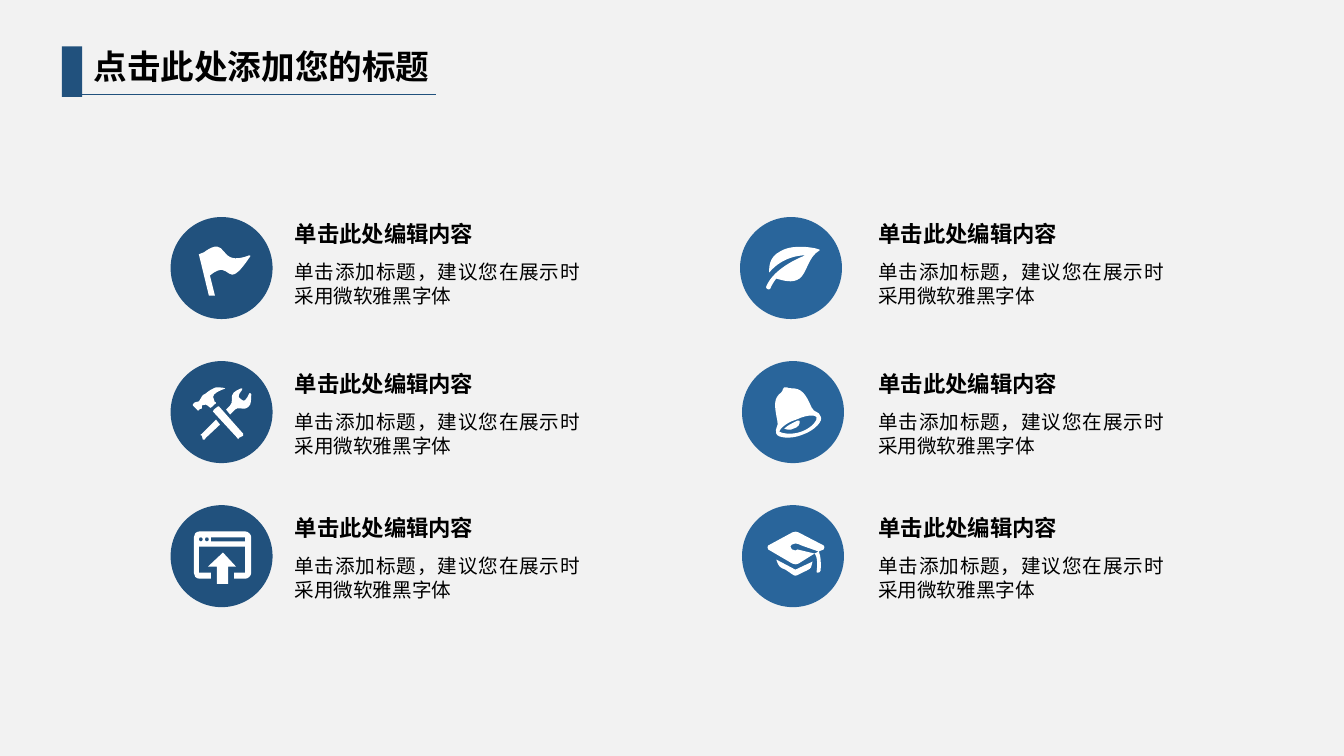
from lxml import etree
from pptx import Presentation
from pptx.dml.color import RGBColor
from pptx.enum.shapes import MSO_CONNECTOR, MSO_SHAPE
from pptx.enum.text import MSO_AUTO_SIZE, PP_ALIGN
from pptx.oxml.ns import qn
from pptx.util import Cm, Pt

RECTANGLE, OVAL = MSO_SHAPE.RECTANGLE, MSO_SHAPE.OVAL
STRAIGHT = MSO_CONNECTOR.STRAIGHT
GROW = MSO_AUTO_SIZE.SHAPE_TO_FIT_TEXT
LEFT, JUSTIFY = PP_ALIGN.LEFT, PP_ALIGN.JUSTIFY

NAVY = RGBColor(0x21, 0x51, 0x7D)
BLUE = RGBColor(0x29, 0x65, 0x9B)
WHITE = RGBColor(0xFF, 0xFF, 0xFF)
BLACK = RGBColor(0x00, 0x00, 0x00)
PALE = RGBColor(0xF2, 0xF2, 0xF2)

TITLE_FONT, ITEM_FONT = "Noto Sans CJK SC", "League Spartan"
TITLE = "点击此处添加您的标题"
HEADING = "单击此处编辑内容"
BODY = "单击添加标题，建议您在展示时采用微软雅黑字体"

# Each icon is a list of contours on a grid of 101 units across its circle.
# A pair is a corner; six numbers are a cubic curve's two controls and its end.
ICON_UNIT = Cm(0.0254)

FLAG = [
    [(78, 38), (45, 51, 59, 16, 33, 35), (28, 37), (38, 78), (44, 78), (39, 58),
     (62, 39, 53, 78, 79, 39), (80, 39, 79, 38, 78, 38)],
]
LEAF = [
    [(40, 34), (28, 40, 29, 51, 29, 55), (44, 37, 65, 38, 65, 38),
     (65, 38, 34, 49, 26, 69), (25, 71, 29, 73, 30, 71), (32, 66, 36, 61, 36, 61),
     (43, 63, 52, 66, 59, 61), (67, 55, 67, 40, 79, 33), (83, 32, 54, 25, 40, 34)],
]
BELL = [
    [(69, 46), (63, 32, 59, 27, 49, 27), (44, 27, 45, 25, 42, 26),
     (39, 27, 42, 28, 39, 31), (31, 37, 32, 44, 35, 59), (37, 65, 32, 66, 34, 72),
     (35, 76, 48, 78, 60, 73), (72, 69, 81, 59, 78, 55), (76, 49, 72, 52, 69, 46)],
    [(59, 70), (48, 74, 38, 71, 37, 70), (37, 69, 41, 62, 54, 58),
     (67, 52, 74, 54, 74, 56), (75, 58, 70, 66, 59, 70)],
    [(55, 59), (49, 62, 45, 64, 42, 67), (44, 68, 48, 69, 51, 67),
     (56, 66, 58, 62, 57, 59)],
]
WINDOW_BUTTONS = [
    [(x, 36), (x - 1, 36, x - 2, 35, x - 2, 34), (x - 2, 32, x - 1, 32, x, 32),
     (x + 1, 32, x + 2, 32, x + 2, 34), (x + 2, 35, x + 1, 36, x, 36)]
    for x in (30, 36)
]
UPLOAD_WINDOW = WINDOW_BUTTONS + [
    [(74, 26), (29, 26), (25, 26, 23, 29, 23, 32), (23, 67),
     (23, 70, 25, 73, 29, 73), (40, 73), (40, 67), (28, 67), (28, 41), (74, 41),
     (74, 67), (63, 67), (63, 73), (74, 73), (77, 73, 80, 70, 80, 67), (80, 32),
     (80, 29, 77, 26, 74, 26)],
    [(74, 36), (40, 36), (40, 32), (74, 32)],
    [(52, 47), (37, 61), (46, 61), (46, 78), (57, 78), (57, 61), (65, 61)],
]
GRADUATION_CAP = [
    [(34, 54), (36, 60, 37, 62, 43, 64), (48, 67, 51, 70, 53, 70),
     (55, 70, 59, 67, 64, 65), (70, 62, 68, 62, 70, 56), (53, 64)],
    [(81, 40), (56, 27), (55, 26, 52, 26, 50, 27), (26, 40),
     (25, 41, 25, 42, 26, 44), (50, 58), (52, 59, 55, 59, 56, 58), (72, 48),
     (55, 44), (54, 44, 54, 45, 53, 45), (50, 45, 48, 43, 48, 41),
     (48, 40, 50, 38, 53, 38), (55, 38, 57, 39, 59, 40), (76, 46), (81, 44),
     (82, 42, 82, 41, 81, 40)],
    [(74, 66), (73, 67, 77, 68, 78, 65), (79, 50, 76, 46, 76, 46), (72, 48),
     (72, 48, 76, 51, 74, 66)],
]
TOOLS = [
    [(31, 44), (33, 42, 36, 43, 39, 46), (40, 47, 40, 46, 40, 46),
     (41, 46, 44, 42, 45, 42), (45, 41), (44, 41, 43, 40, 43, 38),
     (38, 31, 57, 27, 54, 27), (52, 26, 46, 26, 45, 26), (42, 27, 37, 30, 35, 32),
     (31, 34, 31, 35, 31, 35), (29, 36, 31, 38, 28, 40), (26, 41, 25, 40, 24, 41),
     (24, 42, 23, 42, 22, 43), (22, 44), (26, 48), (26, 49, 27, 49, 28, 49),
     (28, 48, 29, 47, 31, 47)],
    [(48, 45), (47, 45), (43, 48), (42, 49, 42, 49, 42, 50), (66, 76),
     (66, 78, 68, 78, 68, 76), (72, 74), (72, 73, 72, 72, 72, 72)],
    [(80, 33), (79, 31, 79, 32, 78, 32), (78, 33, 76, 35, 76, 36),
     (75, 38, 73, 41, 70, 38), (66, 35, 68, 34, 68, 33), (68, 32, 71, 29, 71, 28),
     (72, 28, 71, 27, 70, 27), (68, 28, 62, 30, 61, 34), (60, 37, 62, 41, 59, 44),
     (55, 48), (59, 53), (64, 48), (65, 47, 68, 46, 70, 47),
     (75, 48, 77, 46, 79, 43), (80, 40, 80, 34, 80, 33)],
    [(31, 72), (29, 73, 29, 74, 31, 74), (32, 78), (33, 78, 35, 78, 35, 76),
     (49, 63), (45, 58)],
]

# Text left, circle colour, then each row's circle left and icon.
COLUMNS = [
    (7.17, NAVY, [(4.3, FLAG), (4.3, TOOLS), (4.3, UPLOAD_WINDOW)]),
    (21.88, BLUE, [(18.65, LEAF), (18.7, BELL), (18.7, GRADUATION_CAP)]),
]
HEADING_TOPS = (5.36, 9.14, 12.77)
CIRCLE_TOP, CIRCLE_STEP, CIRCLE_SIZE = 5.47, 3.63, 2.57


class SlideBuilder:
    def __init__(self, slide):
        self.slide = slide
        self.shapes = slide.shapes
        slide.background.fill.solid()
        slide.background.fill.fore_color.rgb = PALE

    def paint(self, shape, color):
        shape.shadow.inherit = False
        shape.fill.solid()
        shape.fill.fore_color.rgb = color
        shape.line.fill.background()

    def block(self, kind, left, top, width, height, color):
        shape = self.shapes.add_shape(kind, Cm(left), Cm(top), Cm(width), Cm(height))
        self.paint(shape, color)

    def icon(self, contours, left, top):
        """Draw the segment ends as a freeform, then bend the curved segments."""
        outlines = [[segment[-2:] for segment in contour] for contour in contours]
        builder = self.shapes.build_freeform(*outlines[0][0], scale=ICON_UNIT)
        for index, outline in enumerate(outlines):
            if index:
                builder.move_to(*outline[0])
            builder.add_line_segments(outline[1:], close=True)
        shape = builder.convert_to_shape(Cm(left), Cm(top))

        min_x, min_y = (min(point[axis] for outline in outlines for point in outline)
                        for axis in (0, 1))
        segments = [segment for contour in contours for segment in contour[1:]]
        edges = list(shape._element.iter(qn("a:lnTo")))
        for edge, segment in zip(edges, segments):
            if len(segment) == 6:
                curve = etree.Element(qn("a:cubicBezTo"))
                for x, y in zip(segment[::2], segment[1::2]):
                    etree.SubElement(curve, qn("a:pt"), x=str(x - min_x), y=str(y - min_y))
                edge.getparent().replace(edge, curve)
        self.paint(shape, WHITE)

    def rule(self, left, right, y, color):
        line = self.shapes.add_connector(STRAIGHT, Cm(left), Cm(y), Cm(right), Cm(y))
        line.line.color.rgb = color
        line.line.width = Pt(0.5)
        etree.SubElement(line._element.spPr, qn("a:effectLst"))

    def text(self, words, left, top, width, height, size, font=ITEM_FONT,
             bold=False, align=LEFT, spacing=None):
        box = self.shapes.add_textbox(Cm(left), Cm(top), Cm(width), Cm(height))
        frame = box.text_frame
        frame.word_wrap = True
        frame.auto_size = GROW
        frame.text = words
        paragraph = frame.paragraphs[0]
        paragraph.alignment = align
        paragraph.line_spacing = spacing
        run = paragraph.runs[0]
        run.font.name = font
        run.font.size = Pt(size)
        run.font.bold = bold
        run.font.color.rgb = BLACK
        etree.SubElement(run.font._element, qn("a:ea"), typeface=font)


def main():
    deck = Presentation()
    deck.slide_width, deck.slide_height = Cm(33.87), Cm(19.05)
    page = SlideBuilder(deck.slides.add_slide(deck.slide_layouts[6]))

    for _, color, rows in COLUMNS:
        for row, (circle_left, icon) in enumerate(rows):
            circle_top = CIRCLE_TOP + row * CIRCLE_STEP
            page.block(OVAL, circle_left, circle_top, CIRCLE_SIZE, CIRCLE_SIZE, color)
            page.icon(icon, circle_left, circle_top)

    for text_left, _, _ in COLUMNS:
        for heading_top in HEADING_TOPS:
            page.text(BODY, text_left, heading_top + 1.06, 7.7, 1.47, 14,
                      align=JUSTIFY, spacing=Pt(17))
            page.text(HEADING, text_left + 0.01, heading_top, 5.54, 0.97, 16,
                      bold=True, spacing=1.1)

    page.block(RECTANGLE, 1.56, 1.17, 0.51, 1.27, NAVY)
    page.rule(1.93, 11, 2.39, NAVY)
    page.text(TITLE, 2.11, 1.02, 9.96, 1.27, 24, font=TITLE_FONT, bold=True)

    deck.save("out.pptx")


if __name__ == "__main__":
    main()
